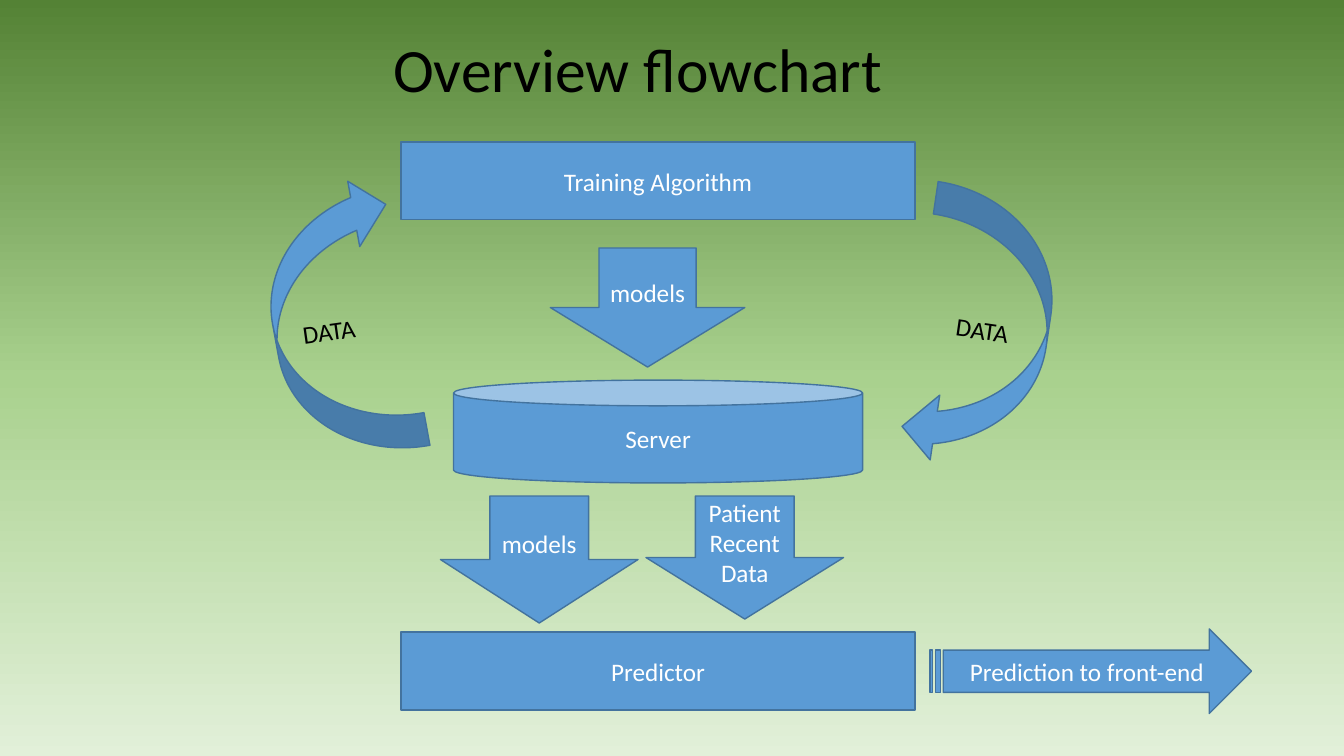
from copy import deepcopy
from pptx import Presentation
from pptx.dml.color import RGBColor
from pptx.enum.shapes import MSO_SHAPE
from pptx.enum.text import MSO_ANCHOR, PP_ALIGN
from pptx.oxml.ns import qn
from pptx.util import Cm, Pt

RECT, CAN = MSO_SHAPE.RECTANGLE, MSO_SHAPE.CAN
DOWN, CURVE = MSO_SHAPE.DOWN_ARROW, MSO_SHAPE.CURVED_LEFT_ARROW
STRIPED = MSO_SHAPE.STRIPED_RIGHT_ARROW
MIDDLE, LEFT, CENTER = MSO_ANCHOR.MIDDLE, PP_ALIGN.LEFT, PP_ALIGN.CENTER

THEME = {
    "font": "Calibri", "title": 44, "body": 18,
    "fill": "5B9BD5", "line": "43739E", "dark": "000000", "light": "FFFFFF",
    "back": [(0, "548235"), (0.5, "A9D18E"), (1, "E2F0D9")],
}


def color(name):
    """Return the theme colour of this name."""
    return RGBColor.from_string(THEME[name])


def write(frame, lines, size="body", ink="light", align=CENTER):
    """Fill a text frame with one paragraph per line."""
    frame.word_wrap = True
    for i, line in enumerate(lines):
        para = frame.add_paragraph() if i else frame.paragraphs[0]
        para.alignment = align
        run = para.add_run()
        run.text = line
        run.font.name = THEME["font"]
        run.font.size = Pt(THEME[size])
        run.font.color.rgb = color(ink)


deck = Presentation()
deck.slide_width, deck.slide_height = Cm(33.87), Cm(19.05)
slide = deck.slides.add_slide(deck.slide_layouts[5])

# Background: three stops from top to bottom
back = slide.background.fill
back.gradient()
back.gradient_angle = 270
stops = next(slide.element.iter(qn("a:gsLst")))
stops.append(deepcopy(stops[0]))
for stop, (place, tone) in zip(back.gradient_stops, THEME["back"]):
    stop.position = place
    stop.color.rgb = RGBColor.from_string(tone)

# Title
title = slide.shapes.title
title.left, title.top = Cm(9.65), Cm(0)
title.width, title.height = Cm(13.34), Cm(3.68)
title.text_frame.vertical_anchor = MIDDLE
write(title.text_frame, ["Overview flowchart"], "title", "dark", LEFT)
title.text_frame.paragraphs[0].line_spacing = 0.9

# Flowchart: kind, left, top, width, height, turn, lines, ink
steps = [
    (RECT, 10.11, 3.58, 12.95, 1.96, 0, ["Training Algorithm"], "light"),
    (RECT, 10.11, 15.93, 12.95, 1.96, 0, ["Predictor"], "light"),
    (CAN, 11.43, 9.58, 10.31, 2.59, 0, ["Server"], "light"),
    (DOWN, 13.87, 6.25, 4.9, 3, 0, ["models"], "light"),
    (CURVE, 23.11, 4.78, 3.3, 7.06, 8.4, ["DATA"], "dark"),
    (CURVE, 6.88, 4.57, 3.35, 7.01, 169.6, [], "dark"),
    (DOWN, 11.1, 12.5, 4.98, 3.2, 0, ["models"], "light"),
    (DOWN, 16.28, 12.5, 4.98, 3.1, 0, ["Patient Recent", "Data"], "light"),
    (STRIPED, 23.44, 15.85, 8.1, 2.13, 0, ["Prediction to front-end"], "light"),
]
for kind, left, top, width, height, turn, lines, ink in steps:
    step = slide.shapes.add_shape(kind, Cm(left), Cm(top), Cm(width), Cm(height))
    step.rotation = turn
    step.shadow.inherit = False
    step.fill.solid()
    step.fill.fore_color.rgb = color("fill")
    step.line.color.rgb = color("line")
    step.line.width = Pt(1)
    step.text_frame.vertical_anchor = MIDDLE
    write(step.text_frame, lines, ink=ink)

# Label of the left loop
label = slide.shapes.add_textbox(Cm(7.37), Cm(7.8), Cm(2.39), Cm(1.02))
label.rotation = 352
write(label.text_frame, ["DATA"], ink="dark", align=LEFT)

deck.save("out.pptx")
